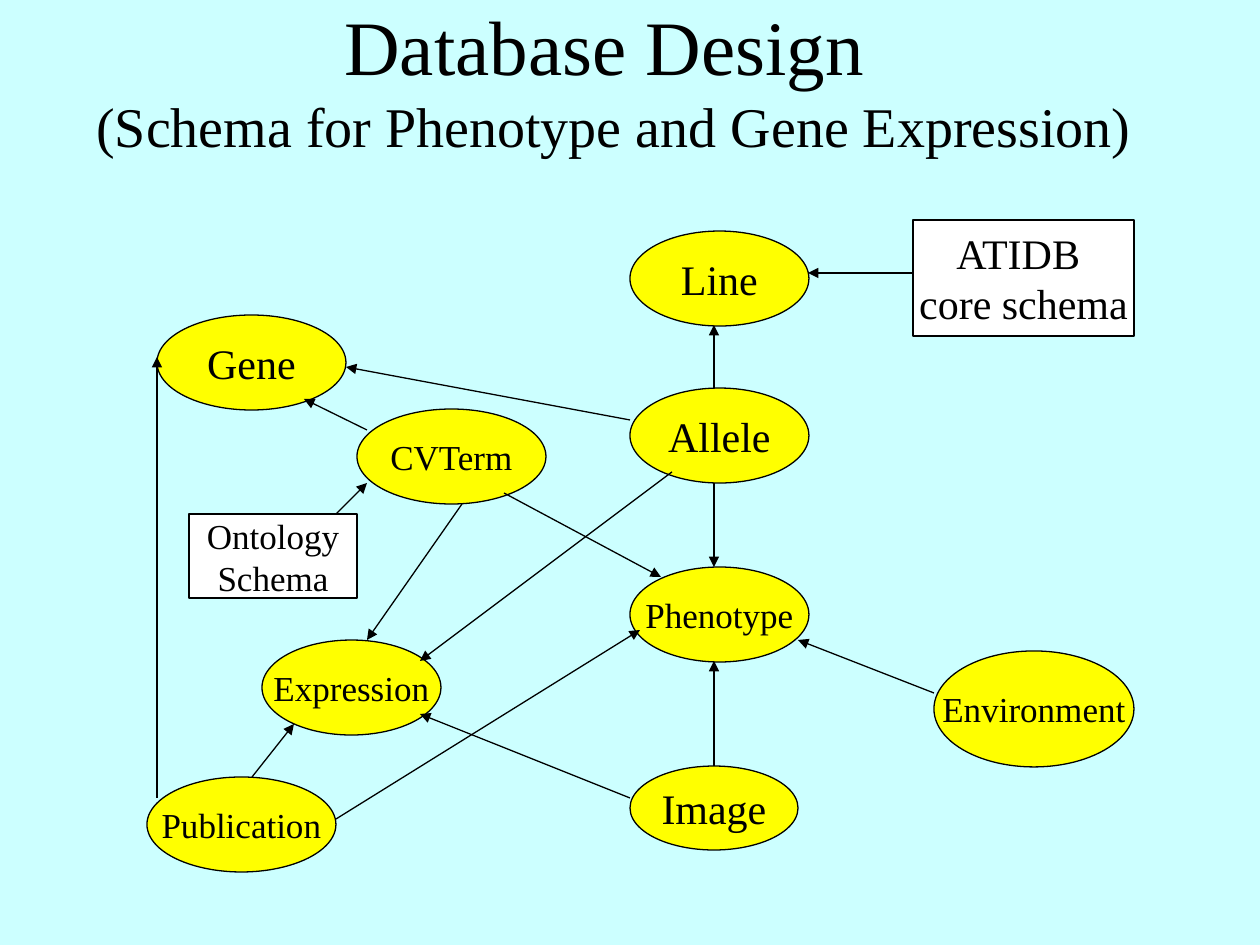
from lxml import etree
from pptx import Presentation
from pptx import util as u
from pptx.dml.color import RGBColor
from pptx.enum import shapes, text
from pptx.oxml.ns import qn

PX_PER_INCH = 126
COLORS = {"background": "CCFFFF", "entity": "FFFF00", "schema": "FFFFFF", "ink": "000000"}


def px(n):
    return u.Emu(round(n * 914400 / PX_PER_INCH))


def rgb(name):
    return RGBColor.from_string(COLORS[name])


class Diagram:
    font = "Times New Roman"
    line_width = u.Pt(0.75)

    def __init__(self, prs):
        self.s = prs.slides.add_slide(prs.slide_layouts[6])
        fill = self.s.background.fill
        fill.solid()
        fill.fore_color.rgb = rgb("background")

    def label(self, sp, lines, wrap=False):
        """Fill a shape with centred (wording, point size) lines."""
        tf = sp.text_frame
        tf.word_wrap = wrap
        tf.vertical_anchor = text.MSO_ANCHOR.MIDDLE
        for i, (wording, size) in enumerate(lines):
            p = tf.add_paragraph() if i else tf.paragraphs[0]
            p.alignment = text.PP_ALIGN.CENTER
            r = p.add_run()
            r.text = wording
            r.font.name = self.font
            r.font.size = u.Pt(size)
            r.font.color.rgb = rgb("ink")

    def title(self, x, y, w, h, lines):
        sp = self.s.shapes.add_textbox(px(x), px(y), px(w), px(h))
        self.label(sp, lines, wrap=True)

    def node(self, kind, color, box, lines):
        sp = self.s.shapes.add_shape(kind, *map(px, box))
        sp.shadow.inherit = False
        sp.fill.solid()
        sp.fill.fore_color.rgb = rgb(color)
        sp.line.color.rgb = rgb("ink")
        sp.line.width = self.line_width
        self.label(sp, lines)

    def entity(self, name, size, *box):
        self.node(shapes.MSO_SHAPE.OVAL, "entity", box, [(name, size)])

    def schema(self, lines, size, *box):
        self.node(shapes.MSO_SHAPE.RECTANGLE, "schema", box, [(t, size) for t in lines])

    def arrow(self, *ends):
        c = self.s.shapes.add_connector(shapes.MSO_CONNECTOR.STRAIGHT, *map(px, ends))
        c.line.color.rgb = rgb("ink")
        c.line.width = self.line_width
        props = c._element.spPr
        etree.SubElement(props.get_or_add_ln(), qn("a:tailEnd"), type="triangle")
        etree.SubElement(props, qn("a:effectLst"))


ENTITIES = [
    ("Phenotype", 20, 630, 567, 179, 95),
    ("Allele", 24, 630, 388, 179, 95),
    ("Environment", 20, 934, 651, 200, 116),
    ("Line", 24, 630, 231, 179, 95),
    ("Publication", 20, 147, 777, 189, 95),
    ("Image", 24, 630, 766, 168, 84),
    ("Gene", 24, 157, 315, 189, 95),
    ("CVTerm", 20, 357, 409, 189, 95),
    ("Expression", 20, 262, 640, 179, 95),
]

SCHEMAS = [
    (["ATIDB ", "core schema"], 24, 913, 220, 221, 116),
    (["Ontology", "Schema"], 20, 189, 514, 168, 84),
]

ARROWS = [
    (714, 766, 714, 661),  # Image to Phenotype
    (714, 483, 714, 567),  # Allele to Phenotype
    (714, 388, 714, 325),  # Allele to Line
    (934, 693, 798, 640),  # Environment to Phenotype
    (504, 493, 661, 577),  # CVTerm to Phenotype
    (367, 430, 304, 399),  # CVTerm to Gene
    (336, 819, 640, 630),  # Publication to Phenotype
    (252, 777, 294, 724),  # Publication to Expression
    (630, 798, 420, 714),  # Image to Expression
    (157, 798, 157, 357),  # Publication to Gene
    (672, 472, 420, 661),  # Allele to Expression
    (630, 420, 346, 367),  # Allele to Gene
    (462, 504, 367, 640),  # CVTerm to Expression
    (913, 273, 808, 273),  # ATIDB core schema to Line
    (336, 514, 367, 483),  # Ontology Schema to CVTerm
]


def main():
    prs = Presentation()
    prs.slide_width, prs.slide_height = px(1260), px(945)
    d = Diagram(prs)
    d.title(63, 0, 1102, 157, [
        ("Database Design ", 44),
        ("(Schema for Phenotype and Gene Expression)", 32),
    ])
    for entity in ENTITIES:
        d.entity(*entity)
    for schema in SCHEMAS:
        d.schema(*schema)
    for ends in ARROWS:
        d.arrow(*ends)
    prs.save("out.pptx")


if __name__ == "__main__":
    main()
